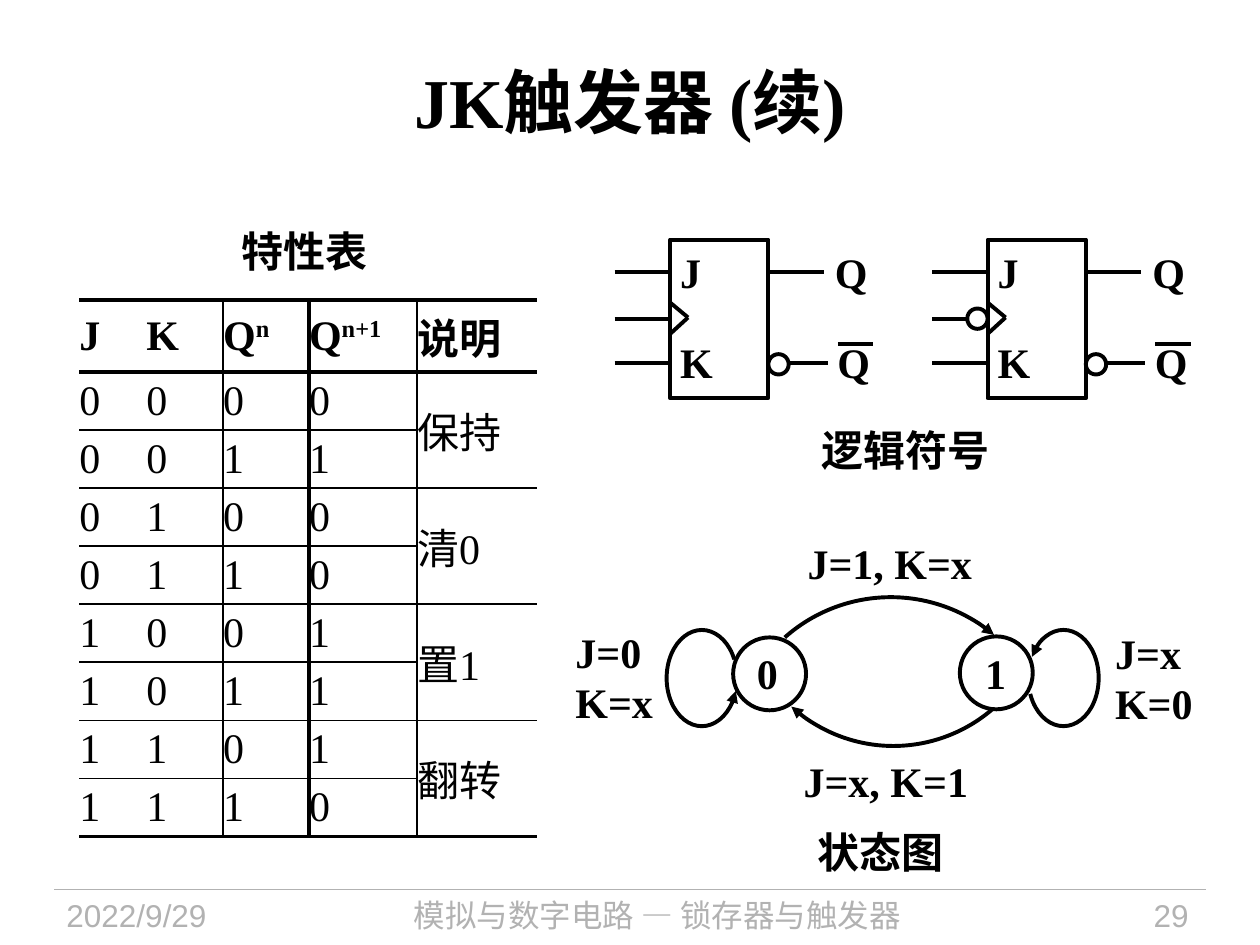
from math import atan2, degrees

from lxml import etree
from pptx import Presentation
from pptx import util as u
from pptx.dml.color import RGBColor
from pptx.enum import shapes, text
from pptx.oxml.ns import qn
from pptx.util import Cm

BLACK, GRAY, WHITE = "000000", "B2B2B2", "FFFFFF"
SERIF, SANS, CJK = "Times New Roman", "Arial", "Noto Sans CJK SC"
LEFT, CENTER, RIGHT = text.PP_ALIGN.LEFT, text.PP_ALIGN.CENTER, text.PP_ALIGN.RIGHT
THIN, THICK = 1, 2.25

# All positions below are in centimetres.
TITLE = "JK触发器 (续)"
FOOTERS = [  # text, left, width, alignment, font
    ("2022/9/29", 1.09, 4.78, LEFT, SANS),
    ("模拟与数字电路 — 锁存器与触发器", 6.1, 14.3, CENTER, CJK),
    ("29", 20.83, 3.38, RIGHT, SANS),
]
CAPTIONS = [  # text, left, top, width
    ("特性表", 4.37, 4.42, 3.53),
    ("逻辑符号", 15.9, 8.43, 4.7),
    ("状态图", 16.21, 16.54, 3.07),
]
HEADER = [("J", ""), ("K", ""), ("Q", "n"), ("Q", "n+1"), ("说明", "")]
ROWS = ["0000", "0011", "0100", "0110", "1001", "1011", "1101", "1110"]
MEANINGS = ["保持", "清0", "置1", "翻转"]
COLUMN_WIDTHS = [1.35, 1.55, 1.73, 2.18, 2.41]
HEADER_HEIGHT, ROW_HEIGHT = 1.45, 1.17
DIVIDERS = [0, 0, THIN, THICK, THIN, 0]  # line width at each column edge

FLIP_FLOPS = [(13.51, False), (19.91, True)]  # body left, falling edge
FLIP_FLOP_LINES = [  # x from body left, y
    (-1.12, 5.49, 0, 5.49), (-1.12, 6.43, 0, 6.43), (-1.12, 7.32, 0, 7.32),
    (1.98, 5.49, 3.1, 5.49), (2.06, 7.32, 3.18, 7.32),
    (3.38, 6.93, 4.09, 6.93),
    (0, 6.1, 0.36, 6.4), (0, 6.73, 0.36, 6.4),
]
PINS = [("J", -0.05, 4.85, 0.99), ("K", -0.05, 6.65, 0.99),
        ("Q", 3.07, 4.85, 1.17), ("Q", 3.12, 6.65, 1.17)]

STATES = [(14.78, 12.85), (19.35, 12.83)]
TRANSITIONS = [  # centre, radii, start, end (clockwise), arrow end
    ((18.01, 11.84), (3.12, 3.2), (19.99, 14.3), (15.95, 14.25), "tailEnd"),
    ((17.96, 15.21), (3.2, 3.17), (15.82, 12.85), (20.04, 12.8), "tailEnd"),
    ((21.44, 13.67), (0.71, 0.97), (20.78, 13.23), (20.75, 14), "headEnd"),
    ((14.15, 13.67), (0.71, 0.97), (14.86, 13.94), (14.83, 13.28), "headEnd"),
]
STATE_LABELS = [  # lines, left, top, width, height
    (["J=1, K=x"], 16.03, 10.72, 3.84, 1.27),
    (["J=x, K=1"], 15.95, 15.11, 3.91, 1.27),
    (["J=x", "K=0"], 22.23, 12.52, 2.08, 2.29),
    (["J=0", "K=x"], 11.35, 12.5, 2.08, 2.29),
    (["0"], 15.01, 12.93, 0.94, 1.27),
    (["1"], 19.61, 12.93, 0.94, 1.27),
]


def rgb(value):
    return RGBColor.from_string(value)


def add_run(paragraph, content, size=24, font=SERIF, color=BLACK, bold=True, raised=False):
    run = paragraph.add_run()
    run.text = content
    run.font.size = u.Pt(size)
    run.font.name = font
    run.font.bold = bold
    run.font.color.rgb = rgb(color)
    properties = run._r.get_or_add_rPr()
    etree.SubElement(properties, qn("a:ea"), typeface=CJK)
    if raised:
        properties.set("baseline", "30000")


def add_text(parent, lines, left, top, width, height=1.27, align=LEFT, wrap=False, **style):
    box = parent.add_textbox(Cm(left), Cm(top), Cm(width), Cm(height))
    frame = box.text_frame
    frame.word_wrap = wrap
    for index, line in enumerate(lines):
        paragraph = frame.add_paragraph() if index else frame.paragraphs[0]
        paragraph.alignment = align
        add_run(paragraph, line, **style)


def add_line(parent, x1, y1, x2, y2, color=BLACK, width=THICK):
    line = parent.add_connector(shapes.MSO_CONNECTOR.STRAIGHT, Cm(x1), Cm(y1), Cm(x2), Cm(y2))
    line.line.color.rgb = rgb(color)
    line.line.width = u.Pt(width)
    etree.SubElement(line._element.spPr, qn("a:effectLst"))


def add_outline(parent, kind, left, top, width, height, fill=None):
    shape = parent.add_shape(kind, Cm(left), Cm(top), Cm(width), Cm(height))
    shape.shadow.inherit = False
    if fill:
        shape.fill.solid()
        shape.fill.fore_color.rgb = rgb(fill)
    else:
        shape.fill.background()
    shape.line.color.rgb = rgb(BLACK)
    shape.line.width = u.Pt(THICK)
    return shape


def add_flip_flop(slide, left, falling_edge):
    group = slide.shapes.add_group_shape().shapes
    add_outline(group, shapes.MSO_SHAPE.RECTANGLE, left, 4.83, 1.98, 3.2)
    for x1, y1, x2, y2 in FLIP_FLOP_LINES:
        add_line(group, left + x1, y1, left + x2, y2)
    for name, x, y, width in PINS:
        add_text(group, [name], left + x, y, width)
    bubbles = [(1.98, 7.14)] + ([(-0.41, 6.22)] if falling_edge else [])
    for x, y in bubbles:
        add_outline(group, shapes.MSO_SHAPE.OVAL, left + x, y, 0.41, 0.41, WHITE)


def add_transition(slide, center, radii, start, end, arrow_end):
    (cx, cy), (rx, ry) = center, radii
    arc = add_outline(slide.shapes, shapes.MSO_SHAPE.ARC, cx - rx, cy - ry, 2 * rx, 2 * ry)
    for index, (x, y) in enumerate((start, end)):
        # Arc adjustments are 60000ths of a degree, scaled by 100000.
        arc.adjustments[index] = degrees(atan2(y - cy, x - cx)) % 360 * 0.6
    etree.SubElement(arc.line._get_or_add_ln(), qn("a:" + arrow_end), type="triangle")


def set_borders(cell, **widths):
    properties = cell._tc.get_or_add_tcPr()
    for index, side in enumerate(("lnL", "lnR", "lnT", "lnB")):
        width = widths[side]
        border = etree.Element(qn("a:" + side), w=str(u.Pt(width)))
        if width:
            fill = etree.SubElement(border, qn("a:solidFill"))
            etree.SubElement(fill, qn("a:srgbClr"), val=BLACK)
        else:
            etree.SubElement(border, qn("a:noFill"))
        properties.insert(index, border)


def add_truth_table(slide):
    row_count, column_count = len(ROWS) + 1, len(HEADER)
    table = slide.shapes.add_table(
        row_count, column_count, Cm(1.6), Cm(6.05), Cm(sum(COLUMN_WIDTHS)),
        Cm(HEADER_HEIGHT + ROW_HEIGHT * len(ROWS))).table
    table.first_row = table.horz_banding = False
    for column, width in zip(table.columns, COLUMN_WIDTHS):
        column.width = Cm(width)
    for index, row in enumerate(table.rows):
        row.height = Cm(ROW_HEIGHT if index else HEADER_HEIGHT)

    contents = [HEADER]
    for index, bits in enumerate(ROWS):
        meaning = "" if index % 2 else MEANINGS[index // 2]
        contents.append([(bit, "") for bit in bits] + [(meaning, "")])
    rules = [THICK, THICK] + [THIN] * (len(ROWS) - 1) + [THICK]
    for r, row in enumerate(contents):
        for c, (base, superscript) in enumerate(row):
            cell = table.cell(r, c)
            merged = r > 0 and c == column_count - 1
            if merged and base:
                cell.merge(table.cell(r + 1, c))
            cell.fill.background()
            cell.vertical_anchor = text.MSO_ANCHOR.MIDDLE
            cell.margin_left = cell.margin_right = cell.margin_top = cell.margin_bottom = 0
            bottom = rules[r + 2] if merged and base else rules[r + 1]
            top = 0 if merged and not base else rules[r]
            set_borders(cell, lnL=DIVIDERS[c], lnR=DIVIDERS[c + 1], lnT=top, lnB=bottom)
            paragraph = cell.text_frame.paragraphs[0]
            if base:
                add_run(paragraph, base, bold=r == 0)
            if superscript:
                add_run(paragraph, superscript, raised=True)


def main():
    presentation = Presentation()
    presentation.slide_width, presentation.slide_height = Cm(25.4), Cm(19.05)
    slide = presentation.slides.add_slide(presentation.slide_layouts[5])

    title = slide.shapes.title
    title.left, title.top, title.width, title.height = Cm(1.27), Cm(0.43), Cm(22.86), Cm(3.18)
    title.text_frame.vertical_anchor = text.MSO_ANCHOR.MIDDLE
    title.text_frame.paragraphs[0].alignment = CENTER
    add_run(title.text_frame.paragraphs[0], TITLE, size=40)

    add_line(slide.shapes, 1.09, 17.93, 24.31, 17.93, GRAY, 0.75)
    for content, left, width, align, font in FOOTERS:
        add_text(slide.shapes, [content], left, 17.93, width, 1.12, align, True,
                 size=18, font=font, color=GRAY, bold=False)
    for content, left, top, width in CAPTIONS:
        add_text(slide.shapes, [content], left, top, width, align=CENTER, font=SANS)

    add_truth_table(slide)
    for left, falling_edge in FLIP_FLOPS:
        add_flip_flop(slide, left, falling_edge)
    for left, top in STATES:
        add_outline(slide.shapes, shapes.MSO_SHAPE.OVAL, left, top, 1.47, 1.47)
    for transition in TRANSITIONS:
        add_transition(slide, *transition)
    for label in STATE_LABELS:
        add_text(slide.shapes, *label)

    presentation.save("out.pptx")


if __name__ == "__main__":
    main()
